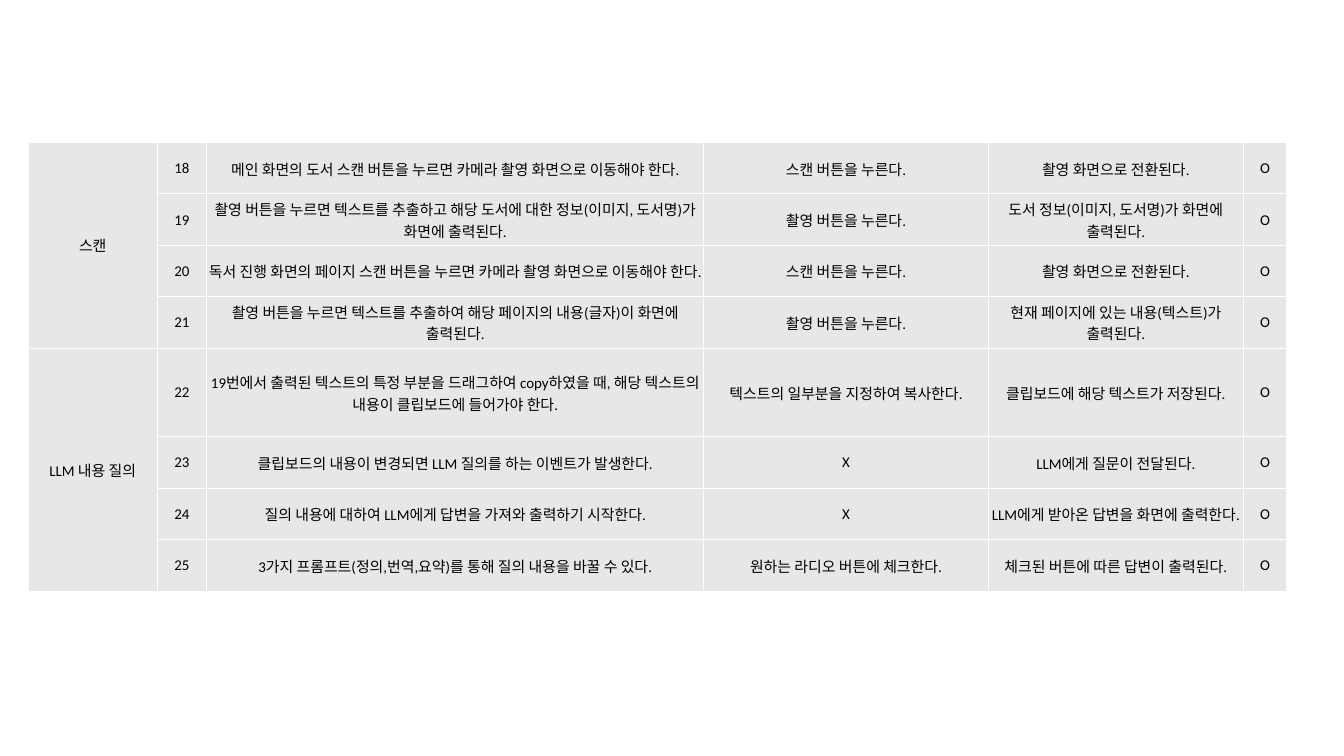
from lxml.etree import SubElement
from pptx import Presentation
from pptx.dml.color import RGBColor
from pptx.enum.text import MSO_ANCHOR, PP_ALIGN
from pptx.oxml.ns import qn
from pptx.util import Pt

SCALE = 4572
WIDE, HIGH = 4000, 2250
FONT, SIZE = "Calibri", 16
INK, GREY, WHITE = "000000", "E7E7E7", "FFFFFF"
COLS = [384, 147, 1480, 846, 760, 129]
ROW, TALL = 153, 264
TALL_ROW = 4
FIRST = 18
WIDE_PAD = (20, 10, 20, 10)
SLIM_PAD = (2, 2, 2, 0)

GROUPS = [
    ("스캔", [
        ("메인 화면의 도서 스캔 버튼을 누르면 카메라 촬영 화면으로 이동해야 한다.",
         "스캔 버튼을 누른다.", "촬영 화면으로 전환된다."),
        ("촬영 버튼을 누르면 텍스트를 추출하고 해당 도서에 대한 정보(이미지, 도서명)가 화면에 출력된다.",
         "촬영 버튼을 누른다.", "도서 정보(이미지, 도서명)가 화면에 출력된다."),
        ("독서 진행 화면의 페이지 스캔 버튼을 누르면 카메라 촬영 화면으로 이동해야 한다.",
         "스캔 버튼을 누른다.", "촬영 화면으로 전환된다."),
        ("촬영 버튼을 누르면 텍스트를 추출하여 해당 페이지의 내용(글자)이 화면에 출력된다.",
         "촬영 버튼을 누른다.", "현재 페이지에 있는 내용(텍스트)가 출력된다."),
    ]),
    ("LLM 내용 질의", [
        ("19번에서 출력된 텍스트의 특정 부분을 드래그하여 copy하였을 때, 해당 텍스트의 내용이 클립보드에 들어가야 한다.",
         "텍스트의 일부분을 지정하여 복사한다.", "클립보드에 해당 텍스트가 저장된다."),
        ("클립보드의 내용이 변경되면 LLM 질의를 하는 이벤트가 발생한다.",
         "X", "LLM에게 질문이 전달된다."),
        ("질의 내용에 대하여 LLM에게 답변을 가져와 출력하기 시작한다.",
         "X", "LLM에게 받아온 답변을 화면에 출력한다."),
        ("3가지 프롬프트(정의,번역,요약)를 통해 질의 내용을 바꿀 수 있다.",
         "원하는 라디오 버튼에 체크한다.", "체크된 버튼에 따른 답변이 출력된다."),
    ]),
]


def px(n):
    """Turn px into EMU."""
    return n * SCALE


def color(code):
    """Turn a hex string into a colour."""
    return RGBColor.from_string(code)


def edge(cell):
    """Give a cell thin white borders, placed before its fill."""
    props = cell._tc.get_or_add_tcPr()
    for i, tag in enumerate(("a:lnL", "a:lnR", "a:lnT", "a:lnB")):
        line = SubElement(props, qn(tag), w=str(Pt(1)))
        fill = SubElement(line, qn("a:solidFill"))
        SubElement(fill, qn("a:srgbClr"), val=WHITE)
        props.insert(i, line)


def style(cell, pad):
    """Format a cell's fill, borders, margins and place of text."""
    cell.fill.solid()
    cell.fill.fore_color.rgb = color(GREY)
    edge(cell)
    cell.vertical_anchor = MSO_ANCHOR.MIDDLE
    (cell.margin_left, cell.margin_top,
     cell.margin_right, cell.margin_bottom) = map(px, pad)


def write(cell, text):
    """Set a cell's centred text."""
    para = cell.text_frame.paragraphs[0]
    para.text = text
    para.alignment = PP_ALIGN.CENTER
    for run in para.runs:
        run.font.name = FONT
        run.font.size = Pt(SIZE)
        run.font.color.rgb = color(INK)


def test_table(slide, left, top):
    """Draw the table of test cases, with one merged cell per group."""
    heights = [ROW] * sum(len(cases) for _, cases in GROUPS)
    heights[TALL_ROW] = TALL
    table = slide.shapes.add_table(
        len(heights), len(COLS), px(left), px(top),
        px(sum(COLS)), px(sum(heights))).table
    table.first_row = table.horz_banding = False
    for col, width in zip(table.columns, COLS):
        col.width = px(width)
    for row, height in zip(table.rows, heights):
        row.height = px(height)
        for i, cell in enumerate(row.cells):
            style(cell, SLIM_PAD if i else WIDE_PAD)
    start = 0
    for name, cases in GROUPS:
        write(table.cell(start, 0), name)
        for r, case in enumerate(cases, start):
            for c, text in enumerate((str(FIRST + r), *case, "O"), 1):
                write(table.cell(r, c), text)
        end = start + len(cases)
        table.cell(start, 0).merge(table.cell(end - 1, 0))
        start = end


def main():
    """Build and save the slide."""
    deck = Presentation()
    deck.slide_width, deck.slide_height = px(WIDE), px(HIGH)
    slide = deck.slides.add_slide(deck.slide_layouts[6])
    test_table(slide, 84, 424)
    deck.save("out.pptx")


if __name__ == "__main__":
    main()
